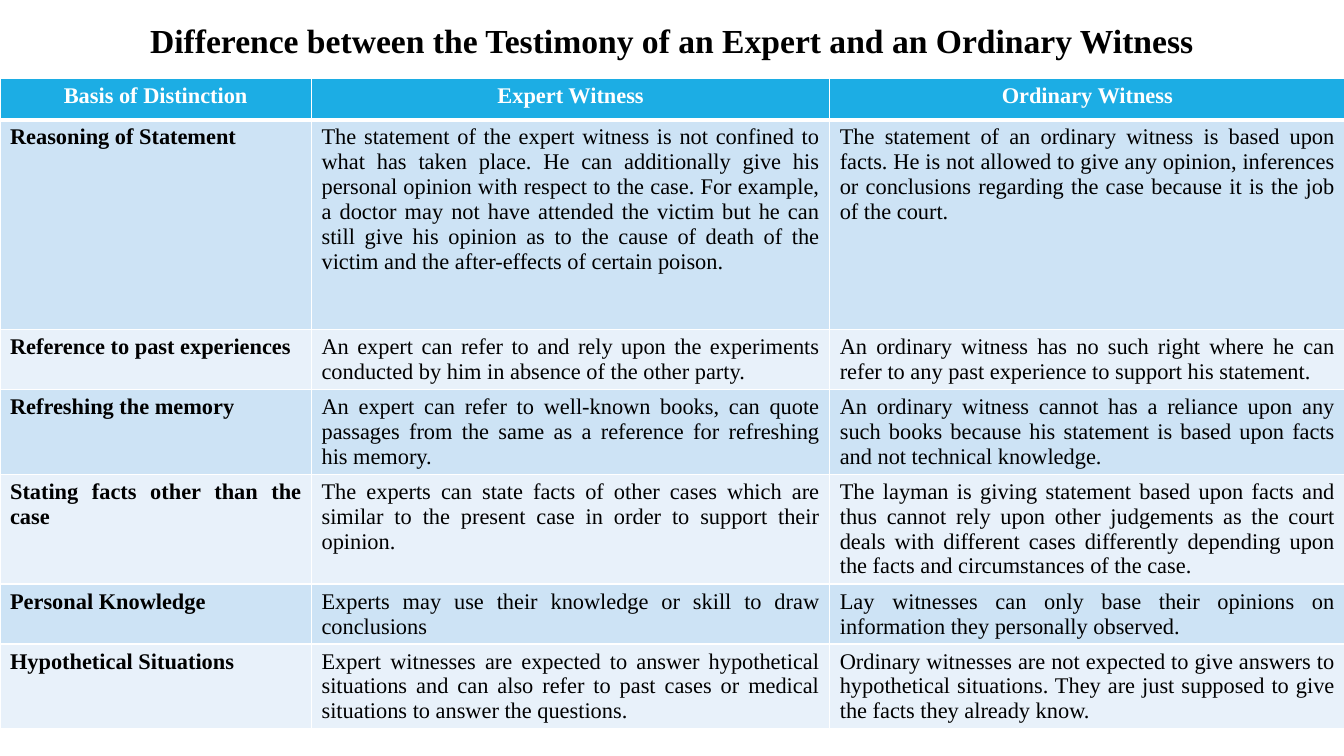
from dataclasses import dataclass

from lxml.etree import SubElement
from pptx import Presentation
from pptx.dml.color import RGBColor as Rgb
from pptx.enum.text import MSO_ANCHOR as Anchor, PP_ALIGN as Align
from pptx.oxml.ns import qn
from pptx.util import Inches, Pt

FONT = "Times New Roman"
BLACK, WHITE, BLUE = "000000", "FFFFFF", "1CADE4"
BANDS = ("CDE3F5", "E8F1FA")
WIDTHS = (3.09, 5.14, 5.11)
HEADS = ("Basis of Distinction", "Expert Witness", "Ordinary Witness")


@dataclass
class Point:
    basis: str
    expert: str
    layman: str
    height: float


POINTS = [
    Point("Reasoning of Statement",
          "The statement of the expert witness is not confined to what has taken place. "
          "He can additionally give his personal opinion with respect to the case. "
          "For example, a doctor may not have attended the victim but he can still give "
          "his opinion as to the cause of death of the victim and the after-effects of "
          "certain poison.",
          "The statement of an ordinary witness is based upon facts. He is not allowed "
          "to give any opinion, inferences or conclusions regarding the case because it "
          "is the job of the court.", 2.08),
    Point("Reference to past experiences",
          "An expert can refer to and rely upon the experiments conducted by him in "
          "absence of the other party.",
          "An ordinary witness has no such right where he can refer to any past "
          "experience to support his statement.", 0.59),
    Point("Refreshing the memory",
          "An expert can refer to well-known books, can quote passages from the same as "
          "a reference for refreshing his memory.",
          "An ordinary witness cannot has a reliance upon any such books because his "
          "statement is based upon facts and not technical knowledge.", 0.83),
    Point("Stating facts other than the case",
          "The experts can state facts of other cases which are similar to the present "
          "case in order to support their opinion.",
          "The layman is giving statement based upon facts and thus cannot rely upon "
          "other judgements as the court deals with different cases differently "
          "depending upon the facts and circumstances of the case.", 1.09),
    Point("Personal Knowledge",
          "Experts may use their knowledge or skill to draw conclusions",
          "Lay witnesses can only base their opinions on information they personally "
          "observed.", 0.59),
    Point("Hypothetical Situations",
          "Expert witnesses are expected to answer hypothetical situations and can also "
          "refer to past cases or medical situations to answer the questions.",
          "Ordinary witnesses are not expected to give answers to hypothetical "
          "situations. They are just supposed to give the facts they already know.", 0.83),
]


def color(code: str) -> Rgb:
    return Rgb.from_string(code)


def write(frame, text: str, size: int, code: str, bold: bool, align: Align) -> None:
    frame.word_wrap = True
    para = frame.paragraphs[0]
    para.text = text
    para.alignment = align
    font = para.font
    font.name, font.size, font.bold = FONT, Pt(size), bold
    font.color.rgb = color(code)


def border(cell, top: int, bottom: int) -> None:
    props = cell._tc.get_or_add_tcPr()
    for side, width in (("L", 1), ("R", 1), ("T", top), ("B", bottom)):
        line = SubElement(props, qn(f"a:ln{side}"), w=str(Pt(width)))
        fill = SubElement(line, qn("a:solidFill"))
        SubElement(fill, qn("a:srgbClr"), val=WHITE)


def draw_row(table, row: int, texts: tuple[str, ...], height: float) -> None:
    head = row == 0
    table.rows[row].height = Inches(height)
    for col, text in enumerate(texts):
        cell = table.cell(row, col)
        border(cell, 3 if row == 1 else 1, 3 if head else 1)
        cell.fill.solid()
        cell.fill.fore_color.rgb = color(BLUE if head else BANDS[(row - 1) % 2])
        cell.vertical_anchor = Anchor.TOP
        write(cell.text_frame, text, 16, WHITE if head else BLACK,
              head or col == 0, Align.CENTER if head else Align.JUSTIFY)


def main() -> None:
    deck = Presentation()
    deck.slide_width, deck.slide_height = Inches(13.33), Inches(7.5)
    slide = deck.slides.add_slide(deck.slide_layouts[6])

    # Comparison table
    table = slide.shapes.add_table(
        len(POINTS) + 1, len(HEADS), 0, Inches(0.78), Inches(13.33), Inches(6.42)).table
    for col, width in zip(table.columns, WIDTHS):
        col.width = Inches(width)
    draw_row(table, 0, HEADS, 0.41)
    for row, point in enumerate(POINTS, 1):
        draw_row(table, row, (point.basis, point.expert, point.layman), point.height)

    # Title
    title = slide.shapes.add_textbox(0, Inches(0.15), Inches(13.33), Inches(0.5))
    write(title.text_frame, "Difference between the Testimony of an Expert and an Ordinary Witness",
          24, BLACK, True, Align.CENTER)

    deck.save("out.pptx")


if __name__ == "__main__":
    main()
